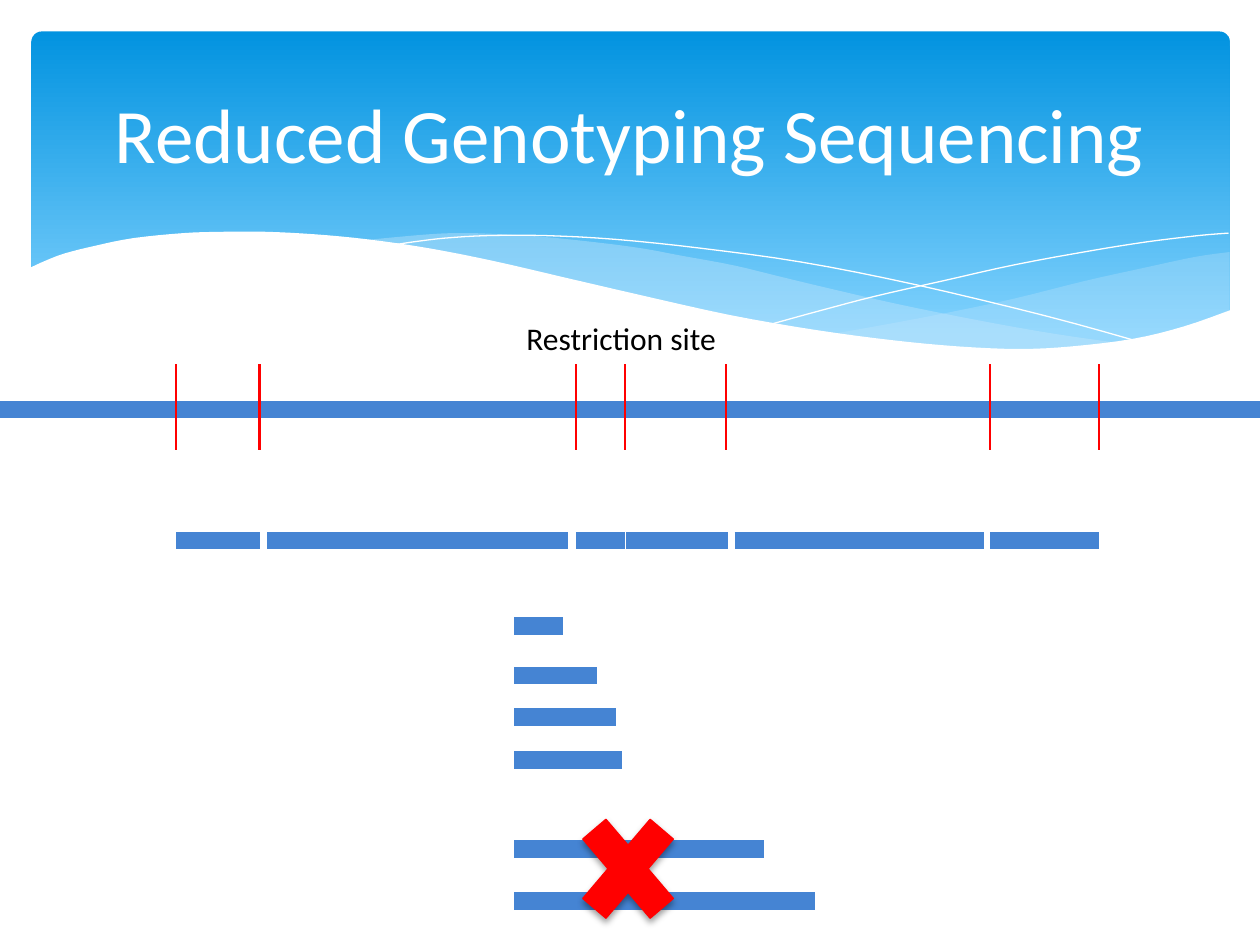
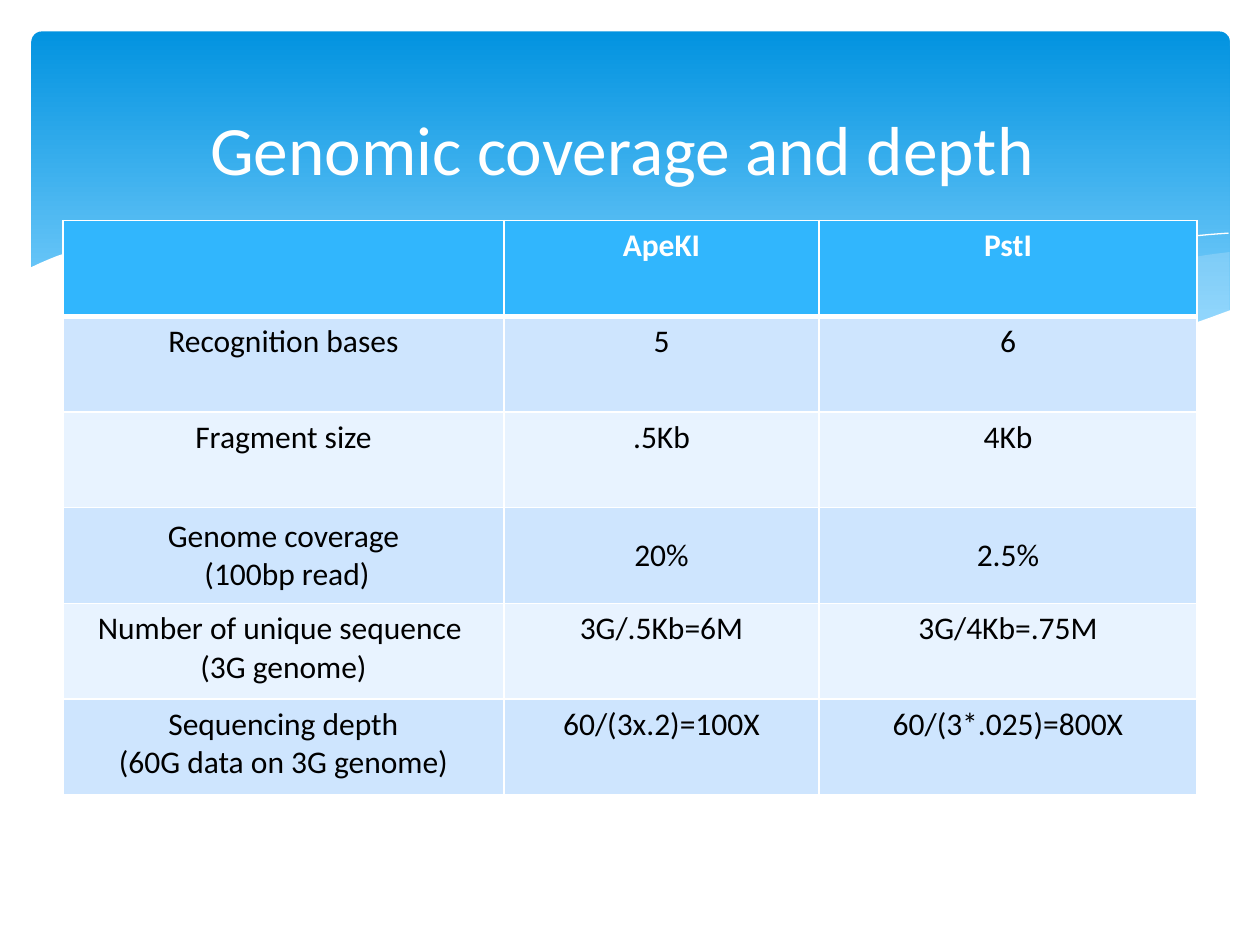
"""Build two slides on reduced genotyping sequencing."""

from dataclasses import dataclass
from typing import NamedTuple, Optional

from lxml.etree import SubElement as Sub
from pptx import Presentation
from pptx.dml.color import RGBColor
from pptx.enum.shapes import MSO_CONNECTOR as Link, MSO_SHAPE as Form
from pptx.enum.text import MSO_ANCHOR as Anchor, PP_ALIGN as Align
from pptx.oxml.ns import qn
from pptx.util import Inches, Pt

WHITE = RGBColor(0xFF, 0xFF, 0xFF)
BLACK = RGBColor(0, 0, 0)
RED = RGBColor(0xFF, 0, 0)
STRAND = RGBColor(0x45, 0x84, 0xD3)
DEEP = RGBColor(0x02, 0x93, 0xE0)
PALE = RGBColor(0x83, 0xD3, 0xFE)
MIST = RGBColor(0xC6, 0xE7, 0xFC)
HEAD = RGBColor(0x31, 0xB6, 0xFD)
BANDS = (RGBColor(0xCE, 0xE5, 0xFE), RGBColor(0xE8, 0xF3, 0xFF))
FONT = "Calibri"


class Box(NamedTuple):
    """Place and size in inches."""

    left: float
    top: float
    width: float
    height: float


class Span(NamedTuple):
    """Start and end of a strand along the slide."""

    start: float
    end: float


@dataclass(frozen=True)
class Wave:
    """Outline made of smooth curves; without a fill it is a white line."""

    curves: tuple
    fill: Optional[RGBColor] = None
    alpha: int = 100


WAVES = (
    Wave((
        ((9.76, 2), (9.48, 2.04), (9.06, 2.13), (8.61, 2.23), (8.05, 2.37),
         (7.53, 2.48), (7.06, 2.57), (6.61, 2.65)),
        ((6.61, 2.65), (7.05, 2.71), (7.45, 2.75), (7.81, 2.77), (8.14, 2.78),
         (8.54, 2.76), (8.89, 2.72), (9.21, 2.65), (9.49, 2.57), (9.76, 2.47)),
    ), MIST, 29),
    Wave((
        ((8.93, 2.73), (8.37, 2.65), (7.75, 2.54), (7.06, 2.4), (6.29, 2.22),
         (5.84, 2.11), (5.41, 2.03), (5.02, 1.96), (4.42, 1.89), (3.99, 1.86),
         (3.61, 1.85), (3.28, 1.87), (2.86, 1.91)),
        ((2.86, 1.91), (3.42, 1.99), (4.04, 2.11), (4.49, 2.22), (5.3, 2.4),
         (6.01, 2.55), (6.65, 2.66), (7.22, 2.74), (7.73, 2.77), (8.18, 2.78),
         (8.57, 2.77), (8.93, 2.73)),
    ), MIST, 40),
    Wave((
        ((3.09, 1.95), (3.28, 1.92), (3.53, 1.89), (3.87, 1.87), (4.33, 1.87),
         (4.89, 1.9), (5.56, 1.97), (6.36, 2.08), (7.27, 2.26), (8.31, 2.51),
         (9.07, 2.72)),
    )),
    Wave((
        ((6.13, 2.57), (6.53, 2.46), (6.95, 2.35), (7.48, 2.23), (8.06, 2.1),
         (8.66, 1.99), (9.1, 1.92), (9.51, 1.87), (9.75, 1.85)),
    )),
    Wave((
        ((9.77, 2.46), (9.4, 2.59), (8.99, 2.69), (8.5, 2.75), (8.09, 2.77),
         (7.61, 2.75), (7.08, 2.7), (6.48, 2.62), (5.79, 2.5), (5.03, 2.33),
         (4.47, 2.2), (3.91, 2.07), (3.4, 1.97), (2.92, 1.9), (2.5, 1.86),
         (2.11, 1.84), (1.77, 1.84), (1.46, 1.85), (1.06, 1.89), (0.76, 1.95),
         (0.52, 2.01), (0.36, 2.07), (0.23, 2.13)),
        ((0.23, 3.29), (9.77, 3.29)),
    ), WHITE),
)

SITES = (1.4, 2.06, 4.57, 4.96, 5.76, 7.86, 8.72)
PIECES = (Span(1.4, 2.06), Span(2.12, 4.51), Span(4.57, 4.96),
          Span(4.97, 5.78), Span(5.83, 7.81), Span(7.86, 8.72))
LANES = (4.97, 5.36, 5.69, 6.03, 6.74, 7.15)
LANE_X = 4.08

COLS = (3.5, 2.5, 3)
ROW = 0.76
MID_ROW = 3
ROWS = (
    ("", "ApeKI", "PstI"),
    ("Recognition bases", "5", "6"),
    ("Fragment size", ".5Kb", "4Kb"),
    ("Genome coverage\n (100bp read)", "20%", "2.5%"),
    ("Number of unique sequence \n(3G genome)", "3G/.5Kb=6M", "3G/4Kb=.75M"),
    ("Sequencing depth\n(60G data on 3G genome)", "60/(3x.2)=100X", "60/(3*.025)=800X"),
)


def inch(box: Box) -> tuple:
    """Turn a box into lengths."""
    return tuple(Inches(side) for side in box)


def smooth(knots: tuple, steps: int = 4) -> list:
    """Sample a Catmull-Rom curve through the knots."""
    if len(knots) == 2:
        return list(knots)
    ends = (knots[0], *knots, knots[-1])
    dots = [knots[0]]
    for a, b, c, d in zip(ends, ends[1:], ends[2:], ends[3:]):
        for step in range(1, steps + 1):
            t = step / steps
            dots.append(tuple(
                (2 * q + (r - p) * t + (2 * p - 5 * q + 4 * r - s) * t ** 2
                 + (3 * q - p - 3 * r + s) * t ** 3) / 2
                for p, q, r, s in zip(a, b, c, d)))
    return dots


def write(frame, text: str, size: float, color: RGBColor,
          align: Align = Align.CENTER, bold: bool = False) -> None:
    """Fill a text frame, one paragraph a line."""
    for i, line in enumerate(text.split("\n")):
        para = frame.add_paragraph() if i else frame.paragraphs[0]
        para.alignment = align
        run = para.add_run()
        run.text = line
        font = run.font
        font.name, font.size, font.bold = FONT, Pt(size), bold
        font.color.rgb = color


def label(slide, text: str, box: Box, size: float, color: RGBColor,
          align: Align = Align.CENTER, wrap: bool = True,
          anchor: Anchor = Anchor.MIDDLE) -> None:
    """Add a text box."""
    frame = slide.shapes.add_textbox(*inch(box)).text_frame
    frame.word_wrap = wrap
    frame.vertical_anchor = anchor
    write(frame, text, size, color, align)


def stroke(slide, start: tuple, end: tuple, color: RGBColor, width: float) -> None:
    """Add a straight line without a shadow."""
    ends = [Inches(n) for n in (*start, *end)]
    line = slide.shapes.add_connector(Link.STRAIGHT, *ends)
    line.line.color.rgb = color
    line.line.width = Pt(width)
    Sub(line._element.spPr, qn("a:effectLst"))


def strand(slide, span: Span, y: float) -> None:
    """Add a thick piece of the genome."""
    stroke(slide, (span.start, y), (span.end, y), STRAND, 10)


def ripple(slide, wave: Wave) -> None:
    """Draw one wave of the banner."""
    dots = [(Inches(x), Inches(y)) for knots in wave.curves for x, y in smooth(knots)]
    pen = slide.shapes.build_freeform(*dots[0])
    pen.add_line_segments(dots[1:], close=wave.fill is not None)
    shape = pen.convert_to_shape()
    shape.shadow.inherit = False
    if wave.fill is None:
        shape.fill.background()
        shape.line.color.rgb = WHITE
        shape.line.width = Pt(0)
        return
    shape.fill.solid()
    shape.fill.fore_color.rgb = wave.fill
    shape.line.fill.background()
    if wave.alpha < 100:
        tint = shape._element.spPr.find(".//" + qn("a:srgbClr"))
        Sub(tint, qn("a:alpha"), val=str(wave.alpha * 1000))


def start(deck, title: str, box: Box, size: float):
    """Add a slide with the banner and its title."""
    slide = deck.slides.add_slide(deck.slide_layouts[6])
    panel = slide.shapes.add_shape(Form.ROUNDED_RECTANGLE, *inch(Box(0.25, 0.25, 9.51, 2.7)))
    panel.adjustments[0] = 0.03
    panel.shadow.inherit = False
    panel.line.fill.background()
    panel.fill.gradient()
    panel.fill.gradient_angle = 270
    for stop, color, place in zip(panel.fill.gradient_stops, (DEEP, PALE), (0, 0.9)):
        stop.color.rgb = color
        stop.position = place
    for wave in WAVES:
        ripple(slide, wave)
    label(slide, title, box, size, WHITE)
    return slide


def cross(slide, box: Box) -> None:
    """Add the red cross with its soft shadow."""
    mark = slide.shapes.add_shape(Form.MATH_MULTIPLY, *inch(box))
    mark.fill.solid()
    mark.fill.fore_color.rgb = RED
    mark.line.color.rgb = RED
    mark.line.width = Pt(0.75)
    mark.shadow.inherit = False
    cast = Sub(mark._element.spPr.find(qn("a:effectLst")), qn("a:outerShdw"),
               blurRad=str(Pt(4)), dist=str(Pt(2)), dir="5400000", rotWithShape="0")
    Sub(Sub(cast, qn("a:srgbClr"), val=str(BLACK)), qn("a:alpha"), val="38000")


def border(cell, sides: dict) -> None:
    """Draw white cell borders of the given widths."""
    props = cell._tc.get_or_add_tcPr()
    for side, width in sides.items():
        edge = Sub(props, qn(f"a:ln{side}"), w=str(Pt(width)))
        Sub(Sub(edge, qn("a:solidFill")), qn("a:srgbClr"), val=str(WHITE))


def cut_slide(deck) -> None:
    """Show the cut sites and the pieces sorted by length."""
    slide = start(deck, "Reduced Genotyping Sequencing", Box(0.5, 0.37, 9, 1.37), 44)
    strand(slide, Span(0, 10), 3.25)
    for x in SITES:
        stroke(slide, (x, 2.89), (x, 3.57), RED, 1.25)
    for piece in PIECES:
        strand(slide, piece, 4.29)
    sizes = sorted(piece.end - piece.start for piece in PIECES)
    for size, y in zip(sizes, LANES):
        strand(slide, Span(LANE_X, LANE_X + size), y)
    cross(slide, Box(4.47, 6.29, 1.03, 1.21))
    label(slide, "Restriction site", Box(LANE_X, 2.48, 1.8, 0.4), 18, BLACK,
          Align.LEFT, False, Anchor.TOP)


def depth_slide(deck) -> None:
    """Compare the two enzymes in a table."""
    slide = start(deck, "Genomic coverage and depth ", Box(0.5, 0.77, 9, 0.81), 39.6)
    box = Box(0.5, 1.75, sum(COLS), ROW * len(ROWS))
    table = slide.shapes.add_table(len(ROWS), len(COLS), *inch(box)).table
    for col, width in zip(table.columns, COLS):
        col.width = Inches(width)
    for i, texts in enumerate(ROWS):
        table.rows[i].height = Inches(ROW)
        top = i == 0
        for j, text in enumerate(texts):
            cell = table.cell(i, j)
            border(cell, {"L": 1, "R": 1, "T": 3 if i == 1 else 1, "B": 3 if top else 1})
            cell.fill.solid()
            cell.fill.fore_color.rgb = HEAD if top else BANDS[(i - 1) % 2]
            cell.vertical_anchor = Anchor.MIDDLE if i == MID_ROW else Anchor.TOP
            if text:
                write(cell.text_frame, text, 18, WHITE if top else BLACK, bold=top)


def main() -> None:
    """Build and save the deck."""
    deck = Presentation()
    deck.slide_width, deck.slide_height = Inches(10), Inches(7.5)
    cut_slide(deck)
    depth_slide(deck)
    deck.save("out.pptx")


if __name__ == "__main__":
    main()
